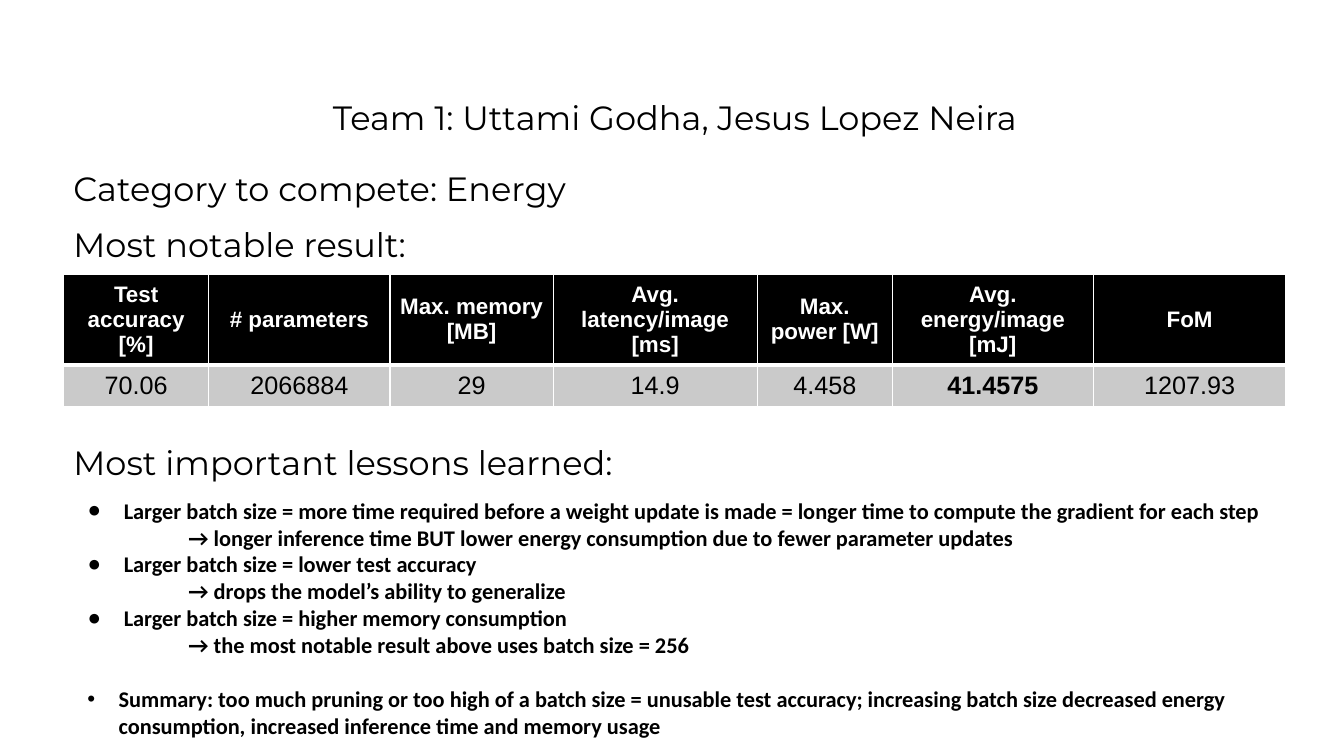
from lxml import etree
from pptx import Presentation
from pptx.dml.color import RGBColor
from pptx.enum.text import MSO_ANCHOR, PP_ALIGN
from pptx.oxml.ns import qn
from pptx.util import Cm, Pt

LEFT, CENTER = PP_ALIGN.LEFT, PP_ALIGN.CENTER
MIDDLE = MSO_ANCHOR.MIDDLE
BLACK, WHITE, GREY = "000000", "FFFFFF", "CACACA"

MARGIN, CONTENT_WIDTH, HEADING_HEIGHT = 1.6, 30.81, 1.27
HEADINGS = [  # text, top, alignment
    ("Team 1: Uttami Godha, Jesus Lopez Neira", 2.31, CENTER),
    ("Category to compete: Energy", 4.09, LEFT),
    ("Most notable result:", 5.51, LEFT),
    ("Most important lessons learned:", 11.0, LEFT),
]
RESULTS = [  # header, value, column width
    ("Test accuracy [%]", "70.06", 3.66),
    ("# parameters", "2066884", 4.57),
    ("Max. memory [MB]", "29", 4.11),
    ("Avg. latency/image [ms]", "14.9", 5.14),
    ("Max. power [W]", "4.458", 3.41),
    ("Avg. energy/image [mJ]", "41.4575", 5.06),
    ("FoM", "1207.93", 4.86),
]
BEST_VALUE = "41.4575"
LESSONS = [  # lesson, consequence
    ("Larger batch size = more time required before a weight update is made = "
     "longer time to compute the gradient for each step",
     "longer inference time BUT lower energy consumption due to fewer parameter updates"),
    ("Larger batch size = lower test accuracy",
     "drops the model’s ability to generalize"),
    ("Larger batch size = higher memory consumption",
     "the most notable result above uses batch size = 256"),
]
SUMMARY = ("Summary: too much pruning or too high of a batch size = unusable test accuracy; "
           "increasing batch size decreased energy consumption, increased inference time "
           "and memory usage")


def color(hex_string):
    return RGBColor.from_string(hex_string)


def add_run(paragraph, text, font_name, size, hex_color=BLACK, bold=False):
    run = paragraph.add_run()
    run.text = text
    run.font.name = font_name
    run.font.size = Pt(size)
    run.font.bold = bold
    run.font.color.rgb = color(hex_color)


def add_text_frame(slide, left, top, width, height, vertical_inset):
    text_frame = slide.shapes.add_textbox(Cm(left), Cm(top), Cm(width), Cm(height)).text_frame
    text_frame.word_wrap = True
    text_frame.margin_left = text_frame.margin_right = Cm(0.25)
    text_frame.margin_top = text_frame.margin_bottom = Cm(vertical_inset)
    return text_frame


def set_indent(paragraph, left, first_line=0, bullet=None):
    properties = paragraph._p.get_or_add_pPr()
    properties.set("marL", str(Cm(left)))
    properties.set("indent", str(Cm(first_line)))
    if bullet:
        bullet_color = etree.SubElement(properties, qn("a:buClr"))
        etree.SubElement(bullet_color, qn("a:srgbClr"), val=BLACK)
        etree.SubElement(properties, qn("a:buFont"), typeface="Arial")
        etree.SubElement(properties, qn("a:buChar"), char=bullet)


def set_cell_borders(cell, top, bottom):
    properties = cell._tc.get_or_add_tcPr()
    widths = {"a:lnL": 1, "a:lnR": 1, "a:lnT": top, "a:lnB": bottom}
    for position, (tag, width) in enumerate(widths.items()):
        line = etree.Element(qn(tag), w=str(Pt(width)))
        fill = etree.SubElement(line, qn("a:solidFill"))
        etree.SubElement(fill, qn("a:srgbClr"), val=WHITE)
        properties.insert(position, line)


def add_heading(slide, left, top, width, height, text, alignment):
    paragraph = add_text_frame(slide, left, top, width, height, 0.13).paragraphs[0]
    paragraph.alignment = alignment
    add_run(paragraph, text, "Montserrat", 24)


def fill_cell(cell, text, size, text_color, fill_color, bold, top, bottom):
    cell.fill.solid()
    cell.fill.fore_color.rgb = color(fill_color)
    cell.vertical_anchor = MIDDLE
    set_cell_borders(cell, top, bottom)
    paragraph = cell.text_frame.paragraphs[0]
    paragraph.alignment = CENTER
    add_run(paragraph, text, "Arial", size, text_color, bold)


def add_results_table(slide, left, top, width, header_height, value_height):
    frame = slide.shapes.add_table(2, len(RESULTS), Cm(left), Cm(top), Cm(width),
                                   Cm(header_height + value_height))
    table = frame.table
    table.horz_banding = False
    table.rows[0].height = Cm(header_height)
    table.rows[1].height = Cm(value_height)
    total = sum(column_width for _, _, column_width in RESULTS)
    for index, (header, value, column_width) in enumerate(RESULTS):
        table.columns[index].width = Cm(width * column_width / total)
        fill_cell(table.cell(0, index), header, 16, WHITE, BLACK, True, 1, 3)
        fill_cell(table.cell(1, index), value, 18, BLACK, GREY, value == BEST_VALUE, 3, 1)


def add_lessons(slide, left, top, width, height):
    text_frame = add_text_frame(slide, left, top, width, height, 0.25)
    paragraph = text_frame.paragraphs[0]
    for lesson, consequence in LESSONS:
        set_indent(paragraph, 1.27, -0.91, "●")
        add_run(paragraph, lesson, "Calibri", 16, bold=True)
        paragraph = text_frame.add_paragraph()
        set_indent(paragraph, 2.9)
        add_run(paragraph, "→ " + consequence, "Calibri", 16, bold=True)
        paragraph = text_frame.add_paragraph()
    # The summary stands one line below the lessons
    paragraph.space_before = Pt(19.5)
    set_indent(paragraph, 1.14, -0.79, "•")
    add_run(paragraph, SUMMARY, "Calibri", 16, bold=True)


def build_team_slide(presentation):
    slide = presentation.slides.add_slide(presentation.slide_layouts[6])
    # Headings
    for text, top, alignment in HEADINGS:
        add_heading(slide, MARGIN, top, CONTENT_WIDTH, HEADING_HEIGHT, text, alignment)
    # Results
    add_results_table(slide, MARGIN, 6.91, CONTENT_WIDTH, 2.26, 1.04)
    # Lessons and summary
    add_lessons(slide, MARGIN, 12.27, CONTENT_WIDTH, 6.55)


presentation = Presentation()
presentation.slide_width, presentation.slide_height = Cm(33.87), Cm(19.05)
build_team_slide(presentation)
presentation.save("out.pptx")
